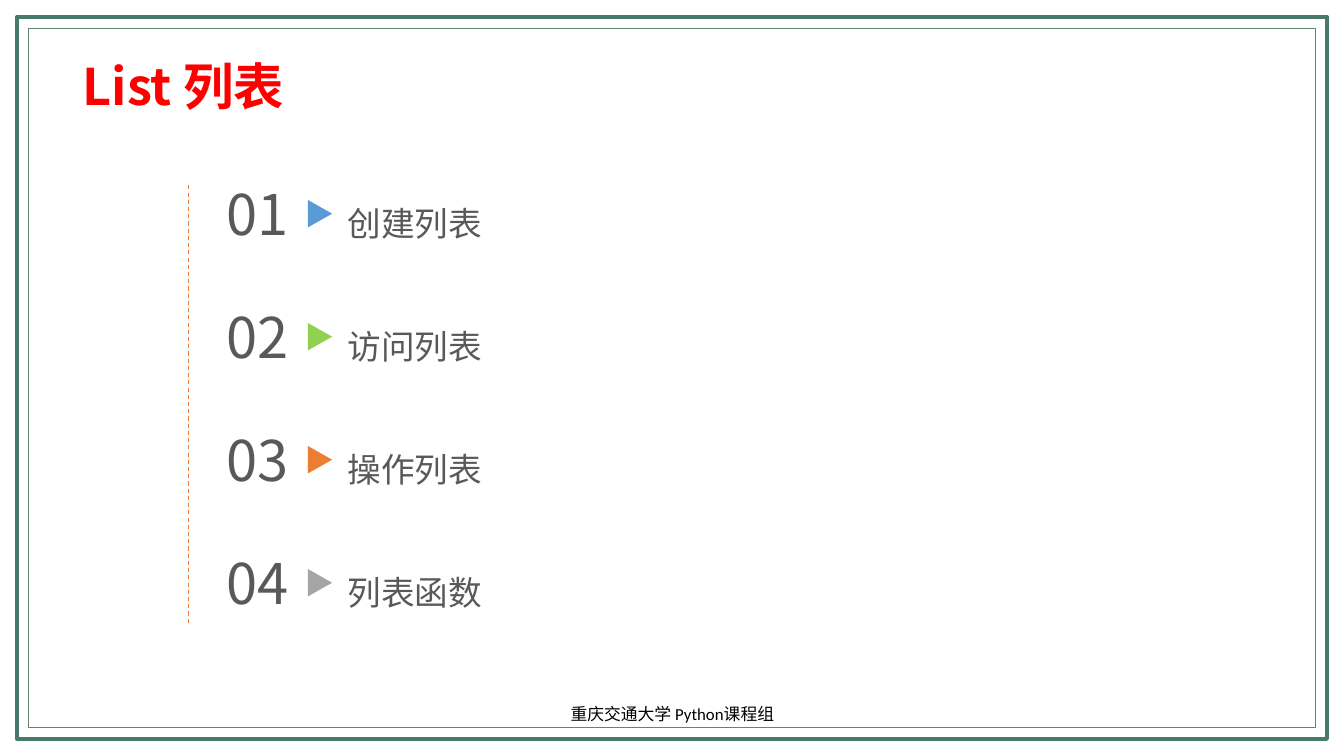
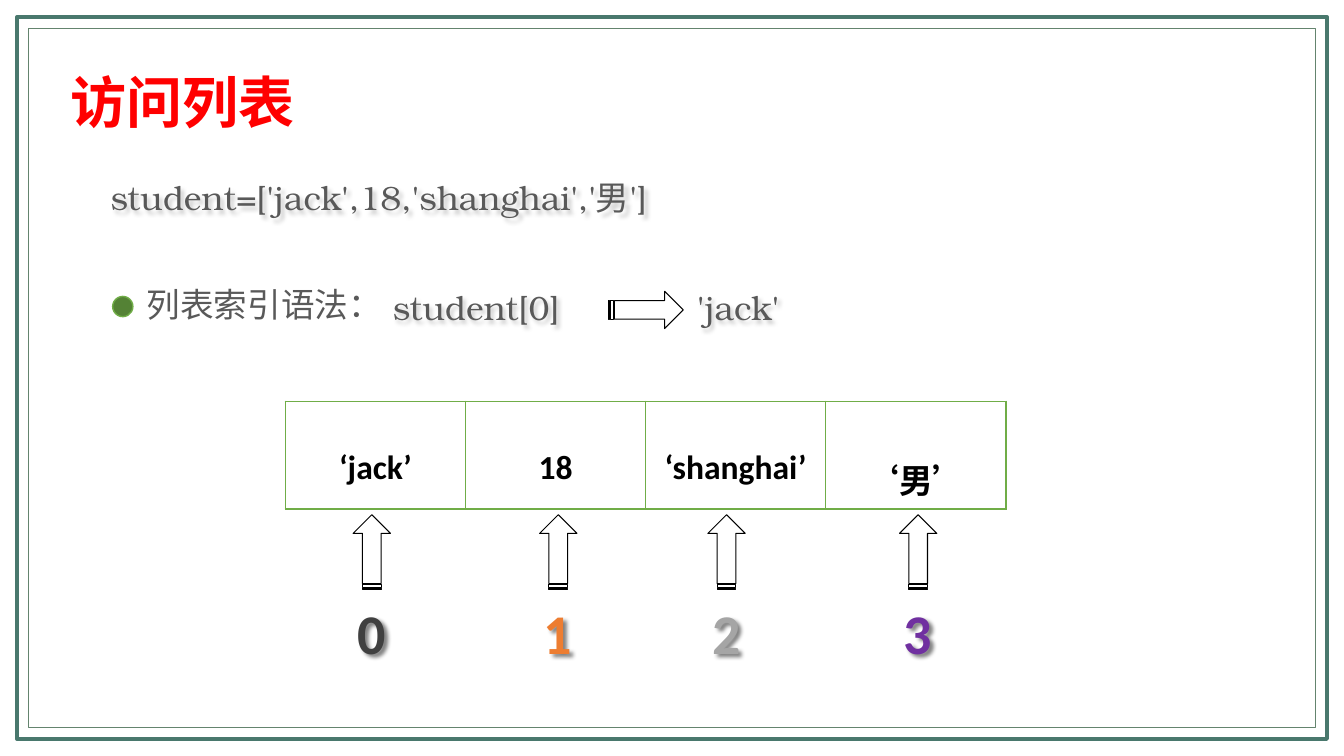
from lxml.etree import SubElement
from pptx import Presentation
from pptx.dml.color import RGBColor
from pptx.enum.dml import MSO_LINE
from pptx.enum.shapes import MSO_CONNECTOR, MSO_SHAPE
from pptx.enum.text import MSO_ANCHOR, MSO_AUTO_SIZE, PP_ALIGN
from pptx.oxml import parse_xml
from pptx.oxml.ns import nsdecls, qn
from pptx.util import Cm, Pt

FRAME_OUTER = RGBColor(0x49, 0x78, 0x6D)
FRAME_INNER = RGBColor(0x64, 0x84, 0x6E)
RED = RGBColor(0xFF, 0x00, 0x00)
GRAY_TEXT = RGBColor(0x59, 0x59, 0x59)
DARK_GRAY = RGBColor(0x40, 0x40, 0x40)
BLACK = RGBColor(0x00, 0x00, 0x00)
BLUE = RGBColor(0x5B, 0x9B, 0xD5)
LIME = RGBColor(0x92, 0xD0, 0x50)
ORANGE = RGBColor(0xED, 0x7D, 0x31)
SILVER = RGBColor(0xA5, 0xA5, 0xA5)
PURPLE = RGBColor(0x70, 0x30, 0xA0)
GREEN = RGBColor(0x70, 0xAD, 0x47)
DARK_GREEN = RGBColor(0x54, 0x82, 0x35)
HEADING_FONT = "Noto Sans CJK SC"
CODE_FONT = "TeX Gyre Bonum"


def write_text(container, text, size, color, font="Arial", bold=False,
               align=PP_ALIGN.LEFT, spacing=None, anchor=MSO_ANCHOR.MIDDLE, shadow=None):
    frame = container.text_frame
    if anchor is not None:
        frame.word_wrap = True
        frame.auto_size = MSO_AUTO_SIZE.NONE
        frame.vertical_anchor = anchor
    paragraph = frame.paragraphs[0]
    paragraph.alignment = align
    paragraph.line_spacing = spacing
    run = paragraph.add_run()
    run.text = text
    run.font.size = Pt(size)
    run.font.bold = bold
    run.font.color.rgb = color
    run.font.name = font
    latin = run.font._element.find(qn("a:latin"))
    latin.addnext(parse_xml(f'<a:ea {nsdecls("a")} typeface="{HEADING_FONT}"/>'))
    if shadow:
        container._element.spPr.append(parse_xml(
            f'<a:effectLst {nsdecls("a")}><a:outerShdw blurRad="38100" dist="38100" '
            f'dir="2700000" algn="tl"><a:srgbClr val="000000"><a:alpha val="{shadow * 1000}"/>'
            '</a:srgbClr></a:outerShdw></a:effectLst>'))


def draw_shape(slide, kind, box, fill=None, line=None, width=0.75, rotation=0):
    shape = slide.shapes.add_shape(kind, *map(Cm, box))
    shape.shadow.inherit = False
    shape.rotation = rotation
    if fill is None:
        shape.fill.background()
    else:
        shape.fill.solid()
        shape.fill.fore_color.rgb = fill
    if line is None:
        shape.line.fill.background()
    else:
        shape.line.color.rgb = line
        shape.line.width = Pt(width)


presentation = Presentation()
presentation.slide_width = Cm(33.87)
presentation.slide_height = Cm(19.05)

slides = []
for title, title_size, title_box in [
    ("List 列表", 36, (1.83, 1.24, 13.16, 1.8)),
    ("访问列表", 40, (1.52, 1.57, 7.29, 1.96)),
]:
    slide = presentation.slides.add_slide(presentation.slide_layouts[5])
    for margin, color, width in [(0.43, FRAME_OUTER, 3), (0.72, FRAME_INNER, 0.5)]:
        draw_shape(slide, MSO_SHAPE.RECTANGLE,
                   (margin, margin, 33.87 - 2 * margin, 19.05 - 2 * margin),
                   line=color, width=width)
    heading = slide.shapes.title
    heading.left, heading.top, heading.width, heading.height = map(Cm, title_box)
    write_text(heading, title, title_size, RED, font=HEADING_FONT, bold=True)
    slides.append(slide)

agenda, indexing = slides

divider = agenda.shapes.add_connector(
    MSO_CONNECTOR.STRAIGHT, Cm(4.75), Cm(4.67), Cm(4.75), Cm(15.72))
divider.line.color.rgb = ORANGE
divider.line.width = Pt(0.75)
divider.line.dash_style = MSO_LINE.DASH
SubElement(divider._element.spPr, qn("a:effectLst"))

topics = [("创建列表", BLUE), ("访问列表", LIME), ("操作列表", ORANGE), ("列表函数", SILVER)]
for position, (topic, color) in enumerate(topics):
    top = 4.39 + 3.1 * position
    number = agenda.shapes.add_textbox(Cm(5.46), Cm(top), Cm(2.29), Cm(1.96))
    write_text(number, f"{position + 1:02}", 40, GRAY_TEXT, font=HEADING_FONT)
    draw_shape(agenda, MSO_SHAPE.ISOSCELES_TRIANGLE, (7.72, top + 0.69, 0.69, 0.61),
               fill=color, rotation=90)
    label = agenda.shapes.add_textbox(Cm(8.51), Cm(top + 0.2), Cm(11.46), Cm(1.55))
    write_text(label, topic, 24, GRAY_TEXT, spacing=1.5)

footer = agenda.shapes.add_textbox(Cm(11.23), Cm(17.48), Cm(11.43), Cm(1.02))
write_text(footer, "重庆交通大学 Python课程组", 12, BLACK, font="Calibri", align=PP_ALIGN.CENTER)

draw_shape(indexing, MSO_SHAPE.OVAL, (2.84, 7.47, 0.51, 0.51),
           fill=DARK_GREEN, line=GREEN, width=1)
syntax = indexing.shapes.add_textbox(Cm(3.45), Cm(7.04), Cm(14.96), Cm(1.27))
write_text(syntax, "列表索引语法：", 24, GRAY_TEXT)

for code, left, top, width in [
    ("student=['jack',18,'shanghai','男']", 2.54, 4.34, 14.83),
    ("student[0]", 9.65, 7.11, 5.26),
    ("'jack'", 17.32, 7.11, 2.77),
]:
    code_box = indexing.shapes.add_textbox(Cm(left), Cm(top), Cm(width), Cm(1.27))
    write_text(code_box, code, 24, GRAY_TEXT, font=CODE_FONT, shadow=20)
draw_shape(indexing, MSO_SHAPE.STRIPED_RIGHT_ARROW, (15.34, 7.34, 1.88, 0.94), line=BLACK)

values = ["‘jack’", "18", "‘shanghai’", "‘男’"]
table = indexing.shapes.add_table(
    1, len(values), Cm(7.19), Cm(10.11), Cm(18.16), Cm(2.72)).table
table.first_row = False
table.horz_banding = False
for cell, value in zip(table.rows[0].cells, values):
    cell.vertical_anchor = MSO_ANCHOR.TOP
    write_text(cell, value, 24, BLACK, font="Calibri", bold=True,
               align=PP_ALIGN.CENTER, spacing=2.0, anchor=None)
    cell.fill.background()
    properties = cell._tc.get_or_add_tcPr()
    for order, (side, points) in enumerate([("L", 1), ("R", 1), ("T", 1), ("B", 2)]):
        properties.insert(order, parse_xml(
            f'<a:ln{side} {nsdecls("a")} w="{Pt(points)}"><a:solidFill>'
            f'<a:srgbClr val="{GREEN}"/></a:solidFill></a:ln{side}>'))

arrow_lefts = [8.43, 13.13, 17.37, 22.2]
for index, (left, color) in enumerate(zip(arrow_lefts, [DARK_GRAY, ORANGE, SILVER, PURPLE])):
    draw_shape(indexing, MSO_SHAPE.STRIPED_RIGHT_ARROW, (left, 13.44, 1.88, 0.94),
               line=BLACK, rotation=270)
    digit = indexing.shapes.add_textbox(Cm(left + 0.33), Cm(14.94), Cm(1.55), Cm(1.96))
    write_text(digit, str(index), 40, color, font="Calibri", bold=True, shadow=50)

presentation.save("out.pptx")
